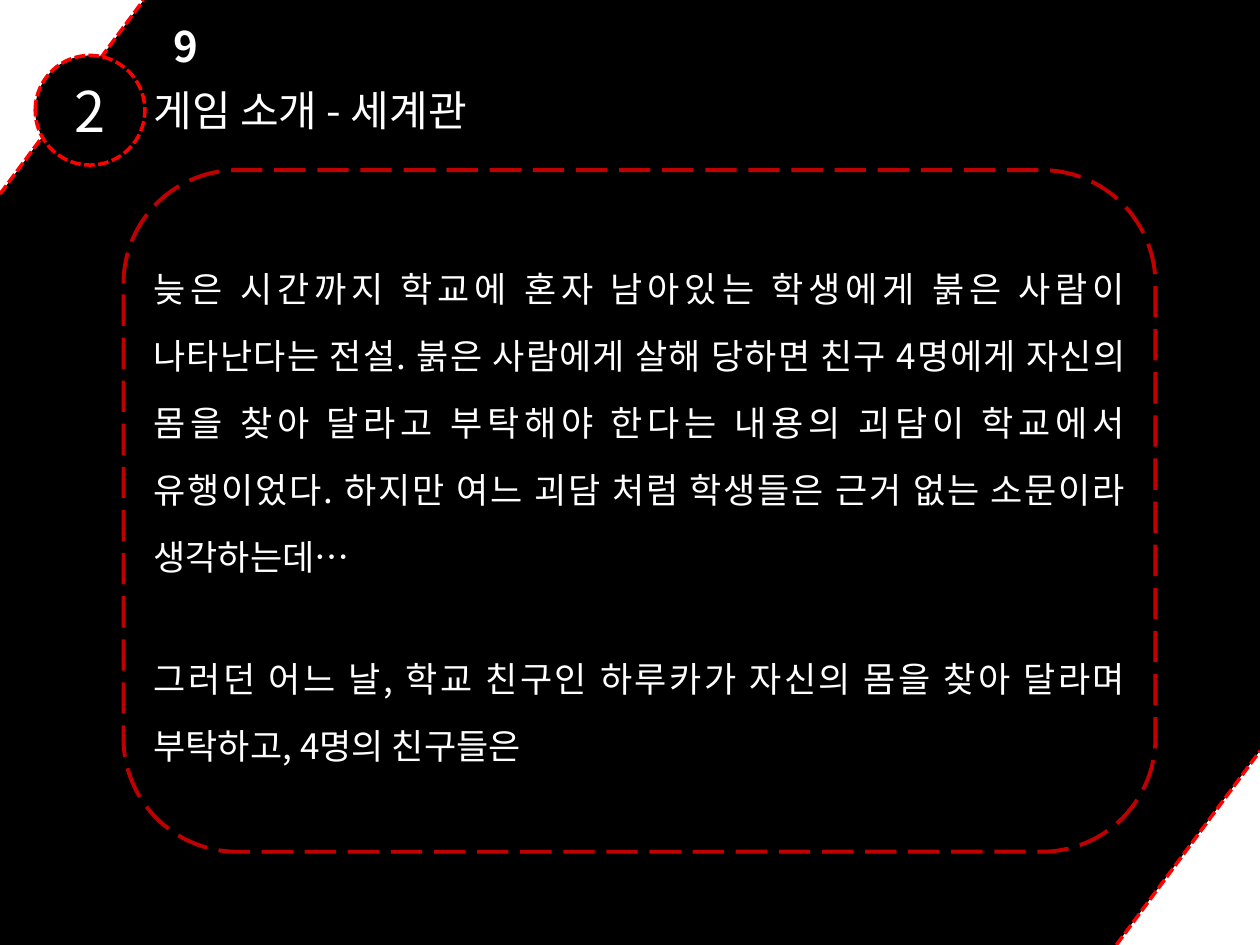
from lxml.etree import SubElement
from pptx import Presentation
from pptx.dml.color import RGBColor
from pptx.enum.dml import MSO_LINE
from pptx.enum.shapes import MSO_CONNECTOR, MSO_SHAPE
from pptx.enum.text import MSO_ANCHOR, MSO_AUTO_SIZE, PP_ALIGN
from pptx.oxml.ns import qn
from pptx.util import Inches, Pt

BLACK = RGBColor(0x00, 0x00, 0x00)
WHITE = RGBColor(0xFF, 0xFF, 0xFF)
RED = RGBColor(0xFF, 0x00, 0x00)
DARK_RED = RGBColor(0xC0, 0x00, 0x00)
FONT = "Noto Sans CJK KR"
PAGE_WIDTH, PAGE_HEIGHT = 10, 7.5
CORNER_WIDTH, CORNER_HEIGHT = 1.14, 1.54
STORY = [
    "늦은 시간까지 학교에 혼자 남아있는 학생에게 붉은 사람이 나타난다는 전설. "
    "붉은 사람에게 살해 당하면 친구 4명에게 자신의 몸을 찾아 달라고 부탁해야 한다는 "
    "내용의 괴담이 학교에서 유행이었다. 하지만 여느 괴담 처럼 학생들은 근거 없는 "
    "소문이라 생각하는데…",
    "그러던 어느 날, 학교 친구인 하루카가 자신의 몸을 찾아 달라며 부탁하고, "
    "4명의 친구들은",
]


def place(box):
    """Turn a box in inches into slide lengths."""
    return [Inches(value) for value in box]


def style_line(line, color, width, dash):
    """Give a line its colour, width and dash."""
    line.color.rgb = color
    line.width = Pt(width)
    line.dash_style = dash


def add_shape(page, kind, box, fill=None):
    """Add a flat shape without an outline."""
    shape = page.shapes.add_shape(kind, *place(box))
    shape.shadow.inherit = False
    shape.line.fill.background()
    if fill is None:
        shape.fill.background()
    else:
        shape.fill.solid()
        shape.fill.fore_color.rgb = fill
    return shape


def add_span(para, text, size, bold=False):
    """Add a white run of text."""
    span = para.add_run()
    span.text = text
    font = span.font
    font.size = Pt(size)
    font.bold = bold
    font.color.rgb = WHITE
    font.name = FONT
    SubElement(font._element, qn("a:ea"), typeface=FONT)


def add_text_frame(page, box, wrap=True):
    """Add a text box and return its frame."""
    frame = page.shapes.add_textbox(*place(box)).text_frame
    frame.word_wrap = wrap
    return frame


def add_corner(page, box, rotation=0):
    """Cut a white corner off the page."""
    corner = add_shape(page, MSO_SHAPE.ISOSCELES_TRIANGLE, box, WHITE)
    corner.adjustments[0] = 0
    corner.rotation = rotation
    corner._element.spPr.find(qn("a:xfrm")).set("flipV", "1")


def add_edge(page, box):
    """Draw the dashed diagonal rising across a corner."""
    left, top, width, height = box
    ends = place((left, top + height, left + width, top))
    edge = page.shapes.add_connector(MSO_CONNECTOR.STRAIGHT, *ends)
    style_line(edge.line, RED, 2, MSO_LINE.SQUARE_DOT)
    SubElement(edge._element.spPr, qn("a:effectLst"))


def add_backdrop(page, box):
    """Fill the page with black and trim two opposite corners."""
    left, top, width, height = box
    add_shape(page, MSO_SHAPE.RECTANGLE, box, BLACK)
    upper = (left, top, CORNER_WIDTH, CORNER_HEIGHT)
    lower = (left + width - CORNER_WIDTH, top + height - CORNER_HEIGHT,
             CORNER_WIDTH, CORNER_HEIGHT)
    for corner, rotation in ((upper, 0), (lower, 180)):
        add_corner(page, corner, rotation)
        add_edge(page, corner)


def add_badge(page, box, number):
    """Add the round section number."""
    badge = add_shape(page, MSO_SHAPE.OVAL, box, BLACK)
    style_line(badge.line, RED, 2, MSO_LINE.SQUARE_DOT)
    frame = badge.text_frame
    frame.vertical_anchor = MSO_ANCHOR.MIDDLE
    para = frame.paragraphs[0]
    para.alignment = PP_ALIGN.CENTER
    add_span(para, number, 32)


def add_title(page, box, text):
    """Add the section title."""
    frame = add_text_frame(page, box, wrap=False)
    frame.auto_size = MSO_AUTO_SIZE.SHAPE_TO_FIT_TEXT
    add_span(frame.paragraphs[0], text, 24)


def add_page_number(page, box, number):
    """Add the bold page number."""
    frame = add_text_frame(page, box)
    frame.vertical_anchor = MSO_ANCHOR.MIDDLE
    para = frame.paragraphs[0]
    para.alignment = PP_ALIGN.RIGHT
    add_span(para, number, 24, bold=True)


def add_story(page, box, paragraphs):
    """Add the dashed panel with the story inside."""
    left, top, width, height = box
    panel = add_shape(page, MSO_SHAPE.ROUNDED_RECTANGLE, box)
    style_line(panel.line, DARK_RED, 2.25, MSO_LINE.LONG_DASH)
    inner = (left + 0.14, top + 0.52, width - 0.28, height - 1.11)
    frame = add_text_frame(page, inner)
    for index, text in enumerate(paragraphs):
        para = frame.add_paragraph() if index else frame.paragraphs[0]
        para.alignment = PP_ALIGN.JUSTIFY
        para.line_spacing = 1.6
        if index:
            para.space_before = Pt(31)
        add_span(para, text, 20)


def main():
    """Build the deck."""
    deck = Presentation()
    deck.slide_width = Inches(PAGE_WIDTH)
    deck.slide_height = Inches(PAGE_HEIGHT)
    page = deck.slides.add_slide(deck.slide_layouts[6])
    add_backdrop(page, (0, 0, PAGE_WIDTH, PAGE_HEIGHT))
    add_title(page, (1.12, 0.62, 3.05, 0.5), "게임 소개 - 세계관")
    add_badge(page, (0.28, 0.44, 0.87, 0.87), "2")
    add_story(page, (0.98, 1.35, 8.19, 5.41), STORY)
    add_page_number(page, (0.7, 0.14, 0.97, 0.45), "9")
    deck.save("out.pptx")


if __name__ == "__main__":
    main()
